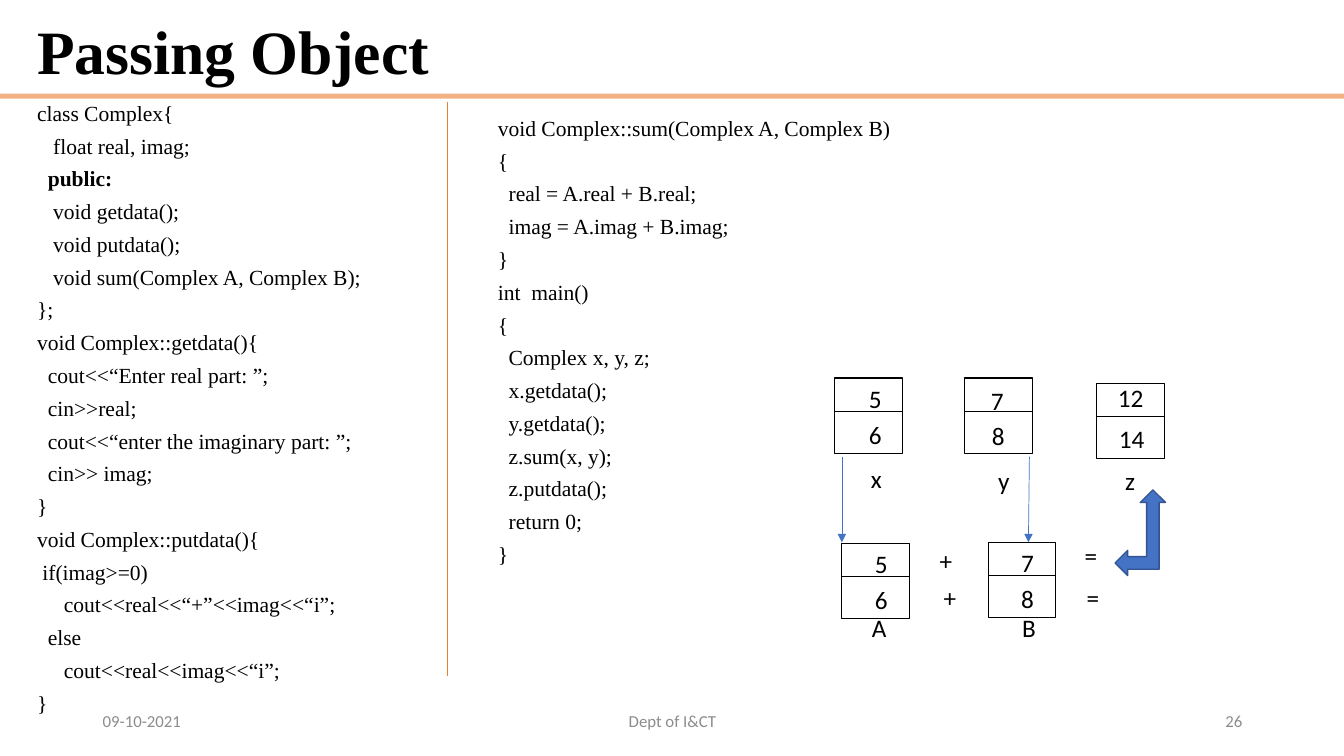
from dataclasses import dataclass

from lxml.etree import SubElement
from pptx import Presentation
from pptx.dml.color import RGBColor
from pptx.enum.shapes import MSO_CONNECTOR as Connector, MSO_SHAPE as Shape
from pptx.enum.text import MSO_ANCHOR as Anchor, PP_ALIGN as Align
from pptx.oxml.ns import qn
from pptx.util import Pt

SCALE = 9144  # EMU per px, 100 px to the inch


@dataclass(frozen=True)
class Theme:
    black: str = "000000"
    grey: str = "8C8C8C"
    band: str = "F4B183"
    divider: str = "ED7D31"
    blue: str = "4472C4"
    dark_blue: str = "325491"
    serif: str = "Times New Roman"
    sans: str = "Calibri"
    title_size: float = 44
    code_size: float = 15.4
    label_size: float = 18
    footer_size: float = 12


THEME = Theme()

CLASS_CODE = """class Complex{
   float real, imag;
  public:
   void getdata();
   void putdata();
   void sum(Complex A, Complex B);
};
void Complex::getdata(){
  cout<<“Enter real part: ”;
  cin>>real;
  cout<<“enter the imaginary part: ”;
  cin>> imag;
}
void Complex::putdata(){
 if(imag>=0)
     cout<<real<<“+”<<imag<<“i”;
  else
     cout<<real<<imag<<“i”;
}"""

MAIN_CODE = """void Complex::sum(Complex A, Complex B)
{
  real = A.real + B.real;
  imag = A.imag + B.imag;
}
int  main()
{
  Complex x, y, z;
  x.getdata();
  y.getdata();
  z.sum(x, y);
  z.putdata();
  return 0;
}"""

# Left and top of each object, then its texts: (text, offset x, offset y, width)
OBJECTS = [
    (828, 375, [("5", 24, 0, 33), ("6", 24, 36, 33), ("x", 26, 80, 31)]),
    (957, 375, [("7", 16, 2, 33), ("8", 17, 37, 33), ("y", 23, 82, 32)]),
    (1088, 380, [("12", 11, -6, 46), ("14", 12, 35, 46), ("z", 18, 77, 30)]),
    (835, 539, [("5", 23, 0, 33), ("6", 23, 36, 33), ("A", 20, 64, 35)]),
    (980, 538, [("7", 23, 0, 33), ("8", 23, 36, 33), ("B", 24, 65, 34)]),
]
OPERATORS = [("+", 922, 536), ("+", 926, 573), ("=", 1066, 531), ("=", 1068, 573)]


def px(*lengths):
    return [length * SCALE for length in lengths]


def rgb(color):
    return RGBColor.from_string(color)


def add_text(shapes, text, left, top, width, height, size, font=THEME.sans,
             color=THEME.black, bold=False, align=Align.LEFT, anchor=Anchor.TOP,
             wrap=True, line_spacing=None, space_before=0, bold_words=()):
    """Add a text box with one paragraph per line of text."""
    box = shapes.add_textbox(*px(left, top, width, height))
    frame = box.text_frame
    frame.word_wrap = wrap
    frame.vertical_anchor = anchor
    for index, line in enumerate(text.split("\n")):
        para = frame.paragraphs[0] if index == 0 else frame.add_paragraph()
        para.alignment = align
        if line_spacing:
            para.line_spacing = line_spacing
        para.space_before = Pt(space_before if index else 0)
        span = para.add_run()
        span.text = line
        span.font.name = font
        span.font.size = Pt(size)
        span.font.bold = bold or line.strip() in bold_words
        span.font.color.rgb = rgb(color)


def add_code(shapes, code, *place):
    add_text(shapes, code, *place, size=THEME.code_size, font=THEME.serif,
             line_spacing=0.7, space_before=10.5, bold_words=("public:",))


def add_label(shapes, text, left, top, width=33):
    add_text(shapes, text, left, top, width, 40, size=THEME.label_size, wrap=False)


def add_filled(shapes, kind, left, top, width, height, fill, line=None):
    shape = shapes.add_shape(kind, *px(left, top, width, height))
    shape.shadow.inherit = False
    shape.fill.solid()
    shape.fill.fore_color.rgb = rgb(fill)
    if line:
        shape.line.color.rgb = rgb(line)
        shape.line.width = Pt(1)
    else:
        shape.line.fill.background()


def add_line(shapes, start, end, color, arrow=False):
    line = shapes.add_connector(Connector.STRAIGHT, *px(*start, *end))
    line.line.color.rgb = rgb(color)
    line.line.width = Pt(0.5)
    if arrow:
        SubElement(line.line._get_or_add_ln(), qn("a:tailEnd"), type="triangle")
    SubElement(line._element.spPr, qn("a:effectLst"))


def add_object(shapes, left, top, texts, width=67, height=75, split=33):
    """Add a two-cell memory box with its values and its name."""
    group = shapes.add_group_shape()
    right, bottom, middle = left + width, top + height, top + split
    builder = group.shapes.build_freeform(left, top, scale=SCALE)
    builder.add_line_segments([(right, top), (right, bottom), (left, bottom)])
    builder.move_to(left, middle)
    builder.add_line_segments([(right, middle)], close=False)
    cells = builder.convert_to_shape()
    cells.shadow.inherit = False
    cells.fill.background()
    cells.line.color.rgb = rgb(THEME.black)
    cells.line.width = Pt(0.75)
    for text, across, down, text_width in texts:
        add_label(group.shapes, text, left + across, top + down, text_width)


def main():
    deck = Presentation()
    deck.slide_width, deck.slide_height = px(1333, 750)
    page = deck.slides.add_slide(deck.slide_layouts[6])
    shapes = page.shapes

    # Title and band
    add_filled(shapes, Shape.RECTANGLE, 0, 93, 1333, 5, THEME.band)
    add_text(shapes, "Passing Object", 27, 15, 1215, 79, size=THEME.title_size,
             font=THEME.serif, bold=True, anchor=Anchor.MIDDLE, line_spacing=0.9)

    # Code columns
    add_code(shapes, CLASS_CODE, 27, 101, 567, 611)
    add_code(shapes, MAIN_CODE, 484, 116, 458, 579)
    add_line(shapes, (444, 101), (444, 671), THEME.divider)

    # Objects, operators and arrows
    for left, top, texts in OBJECTS:
        add_object(shapes, left, top, texts)
    for text, left, top in OPERATORS:
        add_label(shapes, text, left, top)
    add_line(shapes, (835, 453), (835, 538), THEME.blue, arrow=True)
    add_line(shapes, (1021, 453), (1020, 538), THEME.blue, arrow=True)
    add_filled(shapes, Shape.LEFT_UP_ARROW, 1106, 486, 50, 85,
               THEME.blue, THEME.dark_blue)

    # Footer
    for text, left, width, align in [("09-10-2021", 92, 300, Align.LEFT),
                                     ("Dept of I&CT", 442, 450, Align.CENTER),
                                     ("26", 942, 300, Align.RIGHT)]:
        add_text(shapes, text, left, 695, width, 40, size=THEME.footer_size,
                 color=THEME.grey, align=align, anchor=Anchor.MIDDLE)

    deck.save("out.pptx")


if __name__ == "__main__":
    main()
